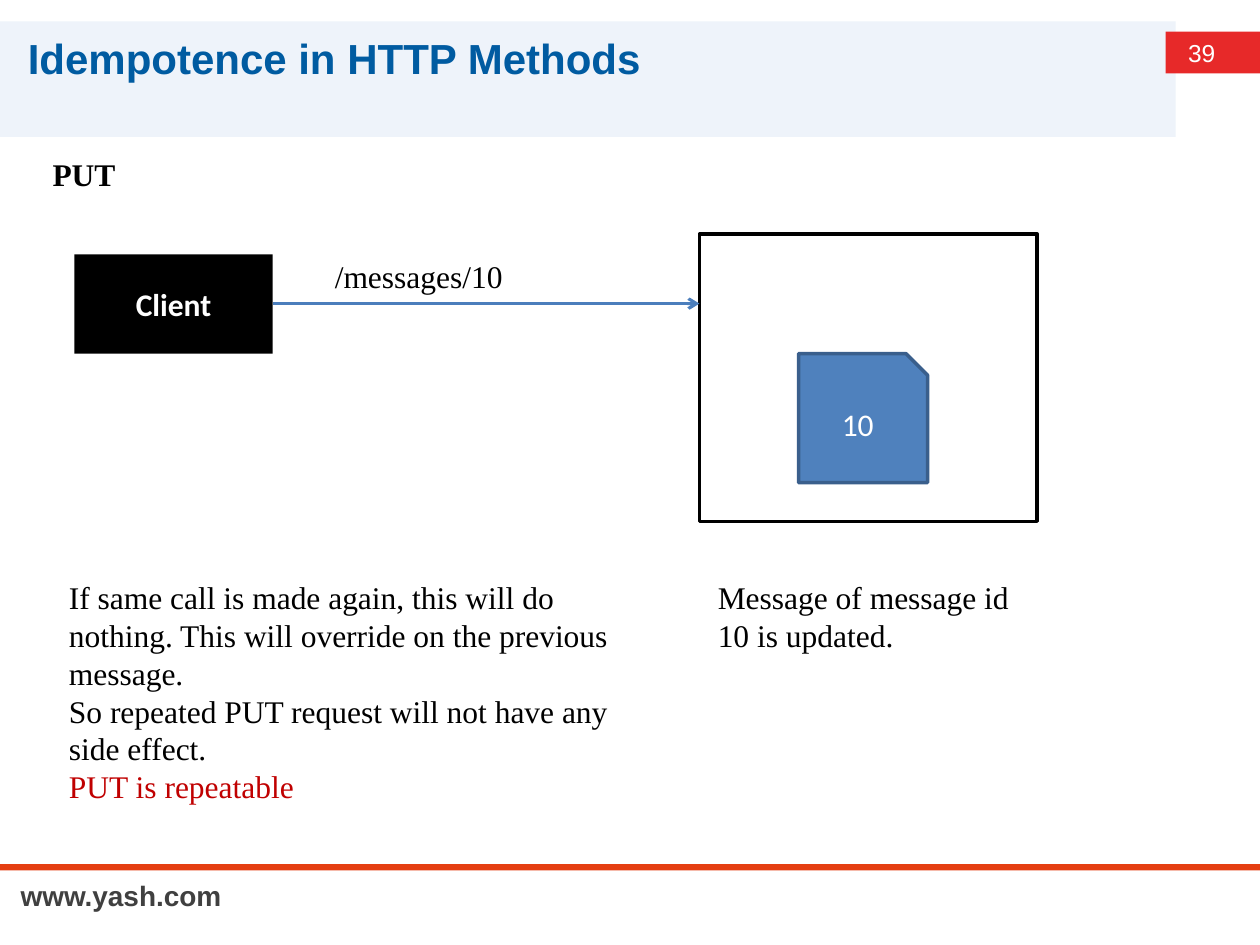
from lxml.etree import SubElement
from pptx import Presentation
from pptx.dml.color import RGBColor
from pptx.enum.shapes import MSO_CONNECTOR, MSO_SHAPE
from pptx.enum.text import MSO_ANCHOR, PP_ALIGN
from pptx.oxml.ns import qn
from pptx.util import Cm, Pt

COLORS = {
    "band": "EEF3FA", "badge": "E72929", "rule": "E53E11", "title": "005BA1",
    "footer": "404040", "black": "000000", "white": "FFFFFF", "accent": "C00000",
    "message": "4F81BD", "message_line": "3A5F8C", "arrow": "4B7EBC",
}
SERIF, SANS, LABEL = "Times New Roman", "Arial", "Calibri"


def color(name):
    return RGBColor.from_string(COLORS[name])


class SlideBuilder:
    def __init__(self, s):
        self.s = s

    def run(self, p, text, font=SERIF, size=18, ink="black", bold=False):
        r = p.add_run()
        r.text = text
        r.font.name, r.font.size, r.font.bold = font, Pt(size), bold
        r.font.color.rgb = color(ink)

    def title(self, text, x, y, w, h):
        sp = self.s.shapes.title
        sp.left, sp.top, sp.width, sp.height = Cm(x), Cm(y), Cm(w), Cm(h)
        tf = sp.text_frame
        tf.vertical_anchor = MSO_ANCHOR.MIDDLE
        tf.margin_left = Cm(0.56)
        p = tf.paragraphs[0]
        p.alignment = PP_ALIGN.LEFT
        self.run(p, text, SANS, 24, "title", True)

    def text(self, lines, x, y, w, h, align=PP_ALIGN.LEFT, **style):
        """Each line is a (text, ink) pair and becomes one paragraph."""
        tf = self.s.shapes.add_textbox(Cm(x), Cm(y), Cm(w), Cm(h)).text_frame
        tf.word_wrap = True
        for i, (text, ink) in enumerate(lines):
            p = tf.add_paragraph() if i else tf.paragraphs[0]
            p.alignment = align
            self.run(p, text, ink=ink, **style)

    def box(self, x, y, w, h, fill=None, line=None, label=None, bold=False,
            kind=MSO_SHAPE.RECTANGLE):
        sp = self.s.shapes.add_shape(kind, Cm(x), Cm(y), Cm(w), Cm(h))
        sp.shadow.inherit = False
        if fill:
            sp.fill.solid()
            sp.fill.fore_color.rgb = color(fill)
        else:
            sp.fill.background()
        if line:
            sp.line.color.rgb = color(line)
            sp.line.width = Pt(2)
        else:
            sp.line.fill.background()
        if label:
            tf = sp.text_frame
            tf.vertical_anchor = MSO_ANCHOR.MIDDLE
            p = tf.paragraphs[0]
            p.alignment = PP_ALIGN.CENTER
            self.run(p, label, LABEL, ink="white", bold=bold)

    def arrow(self, x1, x2, y, ink):
        cn = self.s.shapes.add_connector(
            MSO_CONNECTOR.STRAIGHT, Cm(x1), Cm(y), Cm(x2), Cm(y))
        cn.line.color.rgb = color(ink)
        cn.line.width = Pt(1.75)
        SubElement(cn.line._get_or_add_ln(), qn("a:tailEnd"), type="arrow")
        SubElement(cn._element.spPr, qn("a:effectLst"))


def main():
    prs = Presentation()
    prs.slide_width, prs.slide_height = Cm(25.4), Cm(19.05)
    b = SlideBuilder(prs.slides.add_slide(prs.slide_layouts[5]))

    # Header band, page number and footer
    b.box(0, 0.43, 23.7, 2.33, "band")
    b.box(23.5, 0.64, 1.9, 0.84, "badge")
    b.text([("39", "white")], 23.7, 0.64, 1.47, 0.86, font=SANS, size=14)
    b.text([("www.yash.com", "footer")], 0, 17.58, 4.88, 0.94,
           PP_ALIGN.CENTER, font=SANS, size=16, bold=True)
    b.box(0, 17.42, 25.4, 0.13, "rule")

    # Headings; the title is raised above the band in the stacking order
    b.title("Idempotence in HTTP Methods", 0, 0.43, 24.13, 1.47)
    tree = b.s.shapes.title._element.getparent()
    tree.append(b.s.shapes.title._element)
    b.text([("PUT", "black")], 0.81, 3, 17.4, 1.02, bold=True)

    # Client calling the server that holds message 10
    client_right, server_left = 5.5, 14.1
    b.box(1.5, 5.13, client_right - 1.5, 2, "black", label="Client", bold=True)
    b.box(server_left, 4.72, 6.81, 5.79, line="black")
    b.box(16.1, 7.13, 2.6, 2.6, "message", "message_line", "10",
          kind=MSO_SHAPE.SNIP_1_RECTANGLE)
    b.arrow(client_right, server_left, 6.12, "arrow")
    b.text([("/messages/10", "black")], 6.5, 5.05, 4, 1.02)

    # Explanations
    notes_top = 11.53
    b.text([("Message of message id 10 is updated.", "black")],
           14.22, notes_top, 6.68, 1.8)
    b.text([
        ("If same call is made again, this will do nothing. "
         "This will override on the previous message.", "black"),
        ("So repeated PUT request will not have any side effect.", "black"),
        ("PUT is repeatable", "accent"),
    ], 1.14, notes_top, 12.14, 4.88)

    prs.save("out.pptx")


if __name__ == "__main__":
    main()
